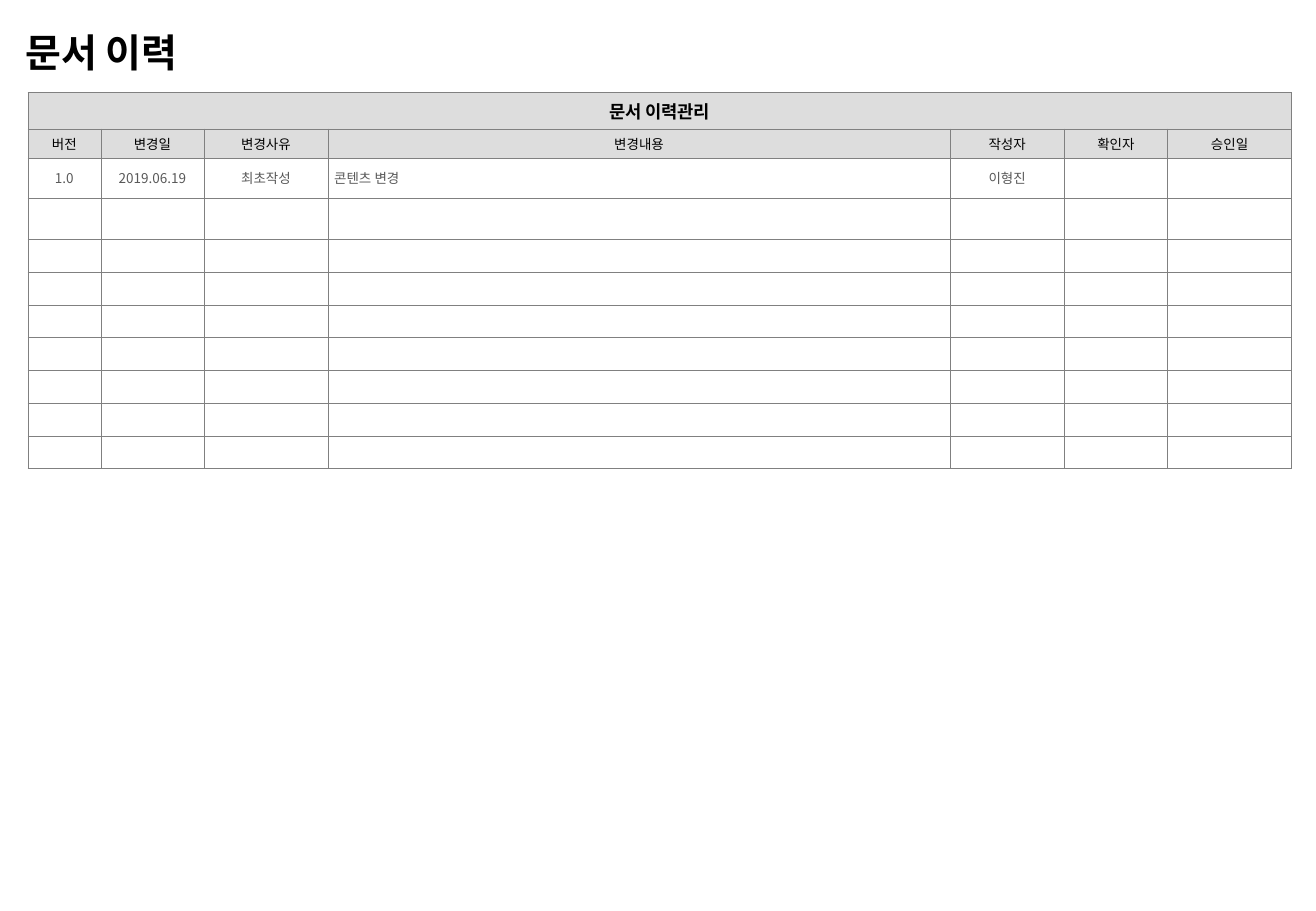
from lxml import etree
from pptx import Presentation
from pptx import util as u
from pptx.dml.color import RGBColor
from pptx.enum import text
from pptx.oxml import ns

BLACK = RGBColor(0, 0, 0)
GRAY = RGBColor(0x59, 0x59, 0x59)
HEADER = RGBColor(0xDD, 0xDD, 0xDD)
WHITE = RGBColor(255, 255, 255)
BORDER = RGBColor(0x80, 0x80, 0x80)

COLUMNS = [0.6, 0.85, 1.02, 5.12, 0.94, 0.85, 1.02]
ROWS = [0.3, 0.24, 0.33, 0.34] + [0.27] * 7
HEADINGS = ["버전", "변경일", "변경사유", "변경내용", "작성자", "확인자", "승인일"]
FIRST_ENTRY = ["1.0", "2019.06.19", "최초작성", "콘텐츠 변경", "이형진", "", ""]
CONTENT_COLUMN = HEADINGS.index("변경내용")


class Builder:
    font = "Noto Sans CJK KR"
    body_size = 8

    def __init__(self, slide):
        self.s = slide

    def run(self, p, words, size, color, bold=False):
        r = p.add_run()
        r.text = words
        r.font.name = self.font
        r.font.size = u.Pt(size)
        r.font.bold = bold
        r.font.color.rgb = color
        ea = etree.SubElement(r.font._element, ns.qn("a:ea"))
        ea.set("typeface", self.font)

    def title(self, words, left, top, width, height):
        sp = self.s.shapes.add_textbox(*map(u.Inches, (left, top, width, height)))
        tf = sp.text_frame
        tf.word_wrap = True
        tf.vertical_anchor = text.MSO_ANCHOR.MIDDLE
        p = tf.paragraphs[0]
        p.line_spacing = 0.8
        self.run(p, words, 23.1, BLACK, True)

    def table(self, left, top, columns, rows):
        box = map(u.Inches, (left, top, sum(columns), sum(rows)))
        table = self.s.shapes.add_table(len(rows), len(columns), *box).table
        for column, width in zip(table.columns, columns):
            column.width = u.Inches(width)
        for row, height in zip(table.rows, rows):
            row.height = u.Inches(height)
        return table

    def border(self, cell):
        tcPr = cell._tc.get_or_add_tcPr()
        for i, side in enumerate(("lnL", "lnR", "lnT", "lnB")):
            ln = etree.Element(ns.qn(f"a:{side}"), w=str(u.Pt(0.25)))
            fill = etree.SubElement(ln, ns.qn("a:solidFill"))
            etree.SubElement(fill, ns.qn("a:srgbClr"), val=str(BORDER))
            tcPr.insert(i, ln)

    def cell(self, cell, words, fill, color, inset, size=body_size, bold=False, centered=True):
        cell.fill.solid()
        cell.fill.fore_color.rgb = fill
        self.border(cell)
        cell.vertical_anchor = text.MSO_ANCHOR.MIDDLE
        cell.margin_left = cell.margin_right = u.Inches(inset[0])
        cell.margin_top = cell.margin_bottom = u.Inches(inset[1])
        p = cell.text_frame.paragraphs[0]
        p.alignment = text.PP_ALIGN.CENTER if centered else text.PP_ALIGN.LEFT
        if words:
            self.run(p, words, size, color, bold)
        else:
            etree.SubElement(p._p, ns.qn("a:endParaRPr"), sz=str(size * 100))


prs = Presentation()
prs.slide_width, prs.slide_height = u.Inches(10.83), u.Inches(7.5)
builder = Builder(prs.slides.add_slide(prs.slide_layouts[6]))

builder.title("문서 이력", 0.11, 0.25, 10.73, 0.43)
history = builder.table(0.23, 0.76, COLUMNS, ROWS)
history.cell(0, 0).merge(history.cell(0, len(COLUMNS) - 1))

blank = [""] * len(COLUMNS)
caption = ["문서 이력관리"] + blank[1:]
entries = [FIRST_ENTRY] + [blank] * (len(ROWS) - 3)

for col, words in enumerate(caption):
    builder.cell(history.cell(0, col), words, HEADER, BLACK, (0.09, 0.04), 10.5 if words else 8, True)
for col, words in enumerate(HEADINGS):
    builder.cell(history.cell(1, col), words, HEADER, BLACK, (0.09, 0.04))
for row, entry in enumerate(entries, 2):
    for col, words in enumerate(entry):
        builder.cell(history.cell(row, col), words, WHITE, GRAY, (0.05, 0.02), centered=col != CONTENT_COLUMN)

prs.save("out.pptx")
